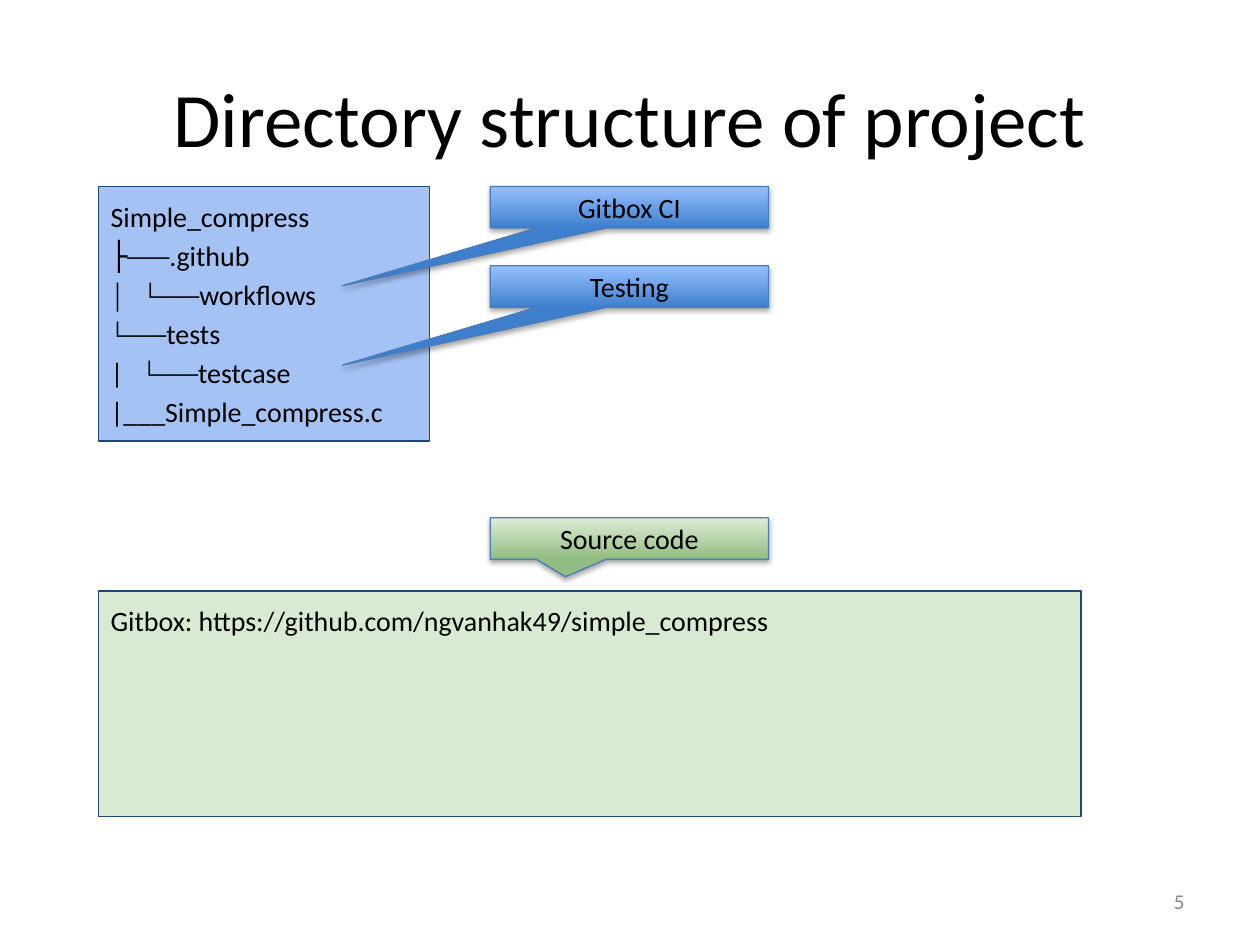
from lxml import etree
from pptx import Presentation
from pptx.dml.color import RGBColor
from pptx.enum.shapes import MSO_SHAPE
from pptx.enum.text import MSO_ANCHOR, PP_ALIGN
from pptx.oxml.ns import qn
from pptx.util import Inches, Pt

RECTANGLE = MSO_SHAPE.RECTANGLE
CALLOUT = MSO_SHAPE.RECTANGULAR_CALLOUT
TOP, MIDDLE = MSO_ANCHOR.TOP, MSO_ANCHOR.MIDDLE
LEFT, CENTER, RIGHT = PP_ALIGN.LEFT, PP_ALIGN.CENTER, PP_ALIGN.RIGHT
TITLE_ONLY = 5


def color(value):
    return RGBColor.from_string(value)


class SlideBuilder:
    font = "Calibri"
    black, gray = "000000", "888888"
    panel_line, callout_line = "1F497D", "4A7DBA"

    def __init__(self, deck):
        self.slide = deck.slides.add_slide(deck.slide_layouts[TITLE_ONLY])

    def fill_text(self, shape, lines, size=16, ink=black, align=LEFT,
                  anchor=MIDDLE, inset=0.05, gap=0):
        frame = shape.text_frame
        frame.word_wrap = True
        frame.vertical_anchor = anchor
        frame.margin_left = frame.margin_right = Inches(0.1)
        frame.margin_top = frame.margin_bottom = Inches(inset)
        for index, line in enumerate(lines):
            para = frame.add_paragraph() if index else frame.paragraphs[0]
            para.text = line
            para.alignment = align
            para.space_before = Pt(gap if index else 0)
            para.font.name = self.font
            para.font.size = Pt(size)
            para.font.color.rgb = color(ink)

    def title(self, text, left, top, width, height):
        shape = self.slide.shapes.title
        shape.left, shape.top = Inches(left), Inches(top)
        shape.width, shape.height = Inches(width), Inches(height)
        self.fill_text(shape, [text], size=44, align=CENTER)

    def page_number(self, text, left, top, width, height):
        box = self.slide.shapes.add_textbox(
            Inches(left), Inches(top), Inches(width), Inches(height))
        self.fill_text(box, [text], size=12, ink=self.gray, align=RIGHT)

    def outlined(self, kind, left, top, width, height, line):
        shape = self.slide.shapes.add_shape(
            kind, Inches(left), Inches(top), Inches(width), Inches(height))
        shape.shadow.inherit = False
        shape.line.color.rgb = color(line)
        shape.line.width = Pt(0.75)
        return shape

    def panel(self, lines, left, top, width, height, fill):
        shape = self.outlined(RECTANGLE, left, top, width, height, self.panel_line)
        shape.fill.solid()
        shape.fill.fore_color.rgb = color(fill)
        self.fill_text(shape, lines, anchor=TOP, inset=0.1, gap=3.2)

    def callout(self, text, top, tip, shades):
        shape = self.outlined(CALLOUT, 3.89, top, 2.21, 0.33, self.callout_line)
        shape.adjustments[0], shape.adjustments[1] = tip
        shape.fill.gradient()
        shape.fill.gradient_angle = 270
        for stop, shade, position in zip(shape.fill.gradient_stops, shades, (0, 1)):
            stop.color.rgb = color(shade)
            stop.position = position
        self.drop_shadow(shape)
        self.fill_text(shape, [text], align=CENTER)

    def drop_shadow(self, shape):
        effects = shape._element.spPr.find(qn("a:effectLst"))
        shadow = etree.SubElement(
            effects, qn("a:outerShdw"), blurRad=str(Pt(3.1)), dist=str(Pt(1.8)),
            dir="5400000", rotWithShape="0")
        tint = etree.SubElement(shadow, qn("a:srgbClr"), val=self.black)
        etree.SubElement(tint, qn("a:alpha"), val="35000")


def main():
    deck = Presentation()
    deck.slide_width, deck.slide_height = Inches(10), Inches(7.5)
    page = SlideBuilder(deck)

    # Title and page number
    page.title("Directory structure of project", 0.5, 0.3, 9, 1.25)
    page.page_number("5", 7.17, 6.95, 2.33, 0.4)

    # Repository address and directory tree
    page.panel(["Gitbox: https://github.com/ngvanhak49/simple_compress"],
               0.78, 4.69, 7.8, 1.79, "D9EAD3")
    tree = [
        "Simple_compress",
        "├───.github",
        "│   └───workflows",
        "└───tests",
        "|   └───testcase",
        "|___Simple_compress.c",
    ]
    page.panel(tree, 0.78, 1.48, 2.63, 2.02, "A4C2F4")

    # Callouts, shaded from top to bottom
    blues, greens = ("96C0FF", "3E7FCD"), ("DCECD5", "92BC81")
    far_left, just_below = (-1.03, 1.89), (-0.23, 0.92)
    page.callout("Gitbox CI", 1.48, far_left, blues)
    page.callout("Testing", 2.11, far_left, blues)
    page.callout("Source code", 4.11, just_below, greens)

    deck.save("out.pptx")


if __name__ == "__main__":
    main()
